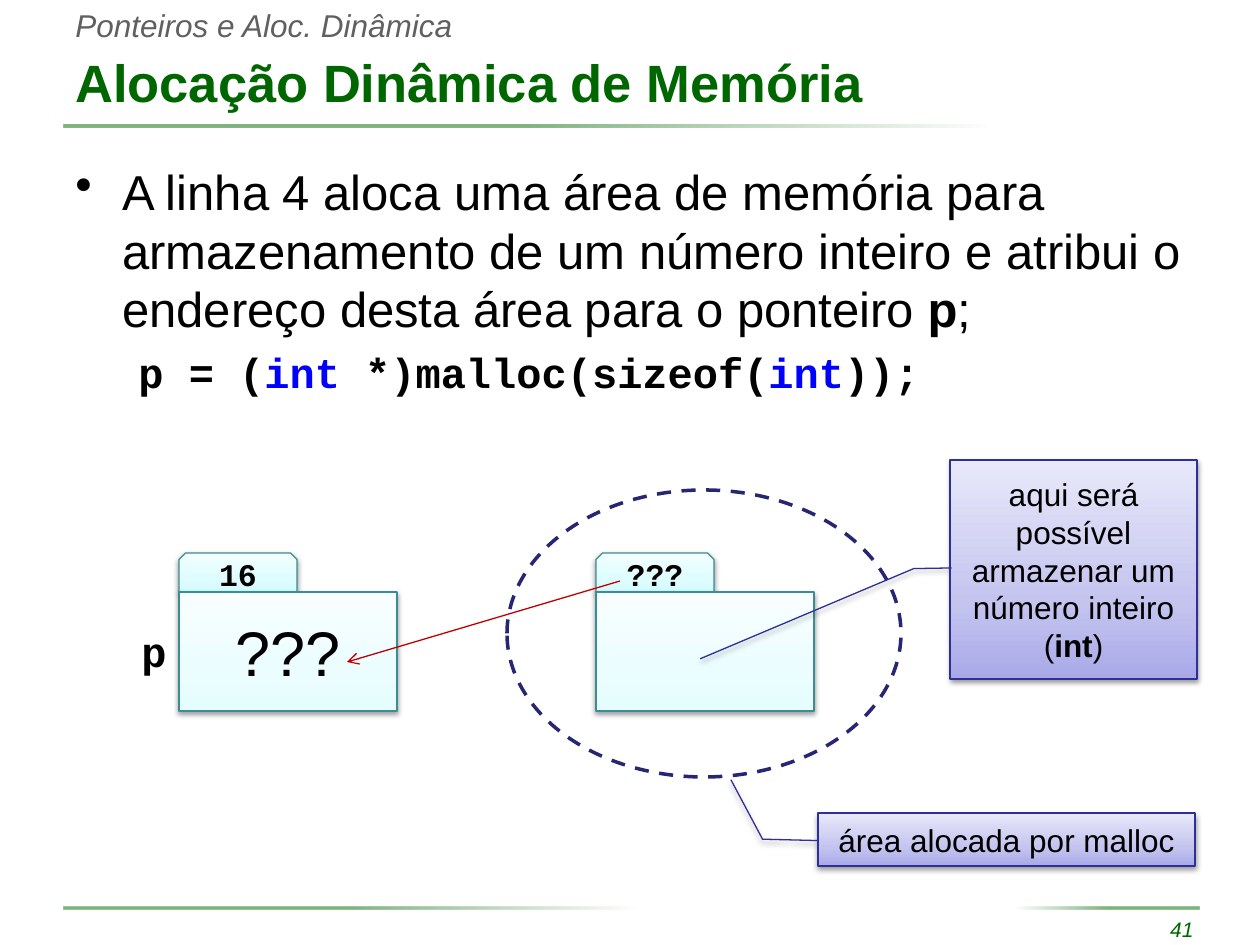
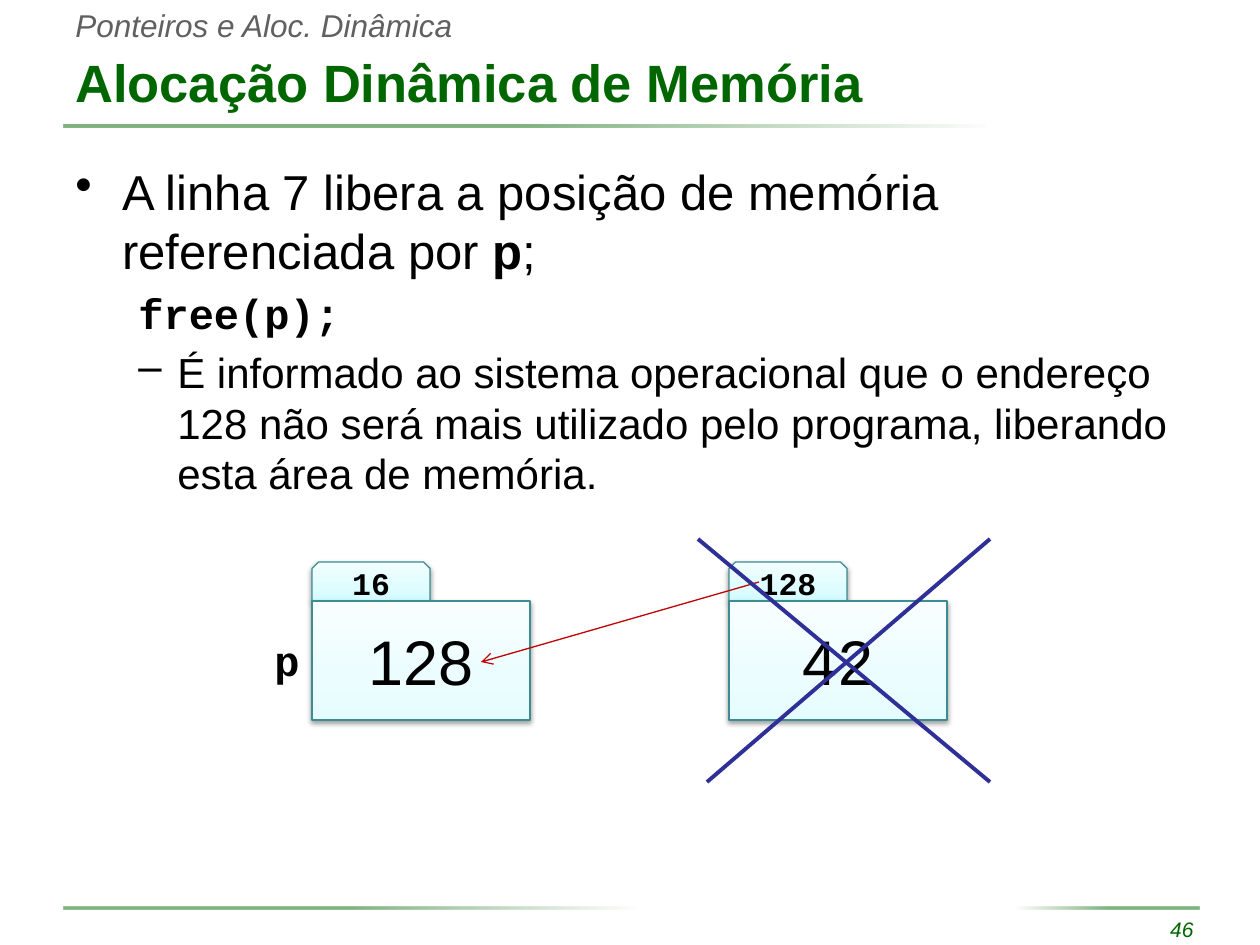
from pptx import Presentation
from pptx.dml.color import RGBColor
from pptx.enum.dml import MSO_LINE
from pptx.enum.shapes import MSO_CONNECTOR, MSO_SHAPE
from pptx.enum.text import MSO_ANCHOR, PP_ALIGN
from pptx.oxml import parse_xml
from pptx.oxml.ns import nsdecls
from pptx.util import Pt

PX = 914400 / 126  # EMU in one px

GREEN = RGBColor(0x00, 0x66, 0x00)
GREY = RGBColor(0x60, 0x60, 0x60)
BLACK = RGBColor(0x00, 0x00, 0x00)
BLUE = RGBColor(0x00, 0x00, 0xFF)
RED = RGBColor(0xC0, 0x00, 0x00)
TEAL = RGBColor(0x3C, 0x8C, 0x93)
NAVY = RGBColor(0x2F, 0x2F, 0x98)
DARK_NAVY = RGBColor(0x26, 0x26, 0x73)

# Gradients: stops as (position, colour), angle, opacity, all in whole units
TAB_FILL = ([(0, "D3FBFF"), (35, "DFFCFF"), (100, "F2FEFF")], 270, 100)
CELL_FILL = ([(0, "E6FDFF"), (35, "ECFDFF"), (100, "F8FEFF")], 270, 100)
CALLOUT_FILL = ([(0, "A9A9E9"), (35, "C4C4EF"), (100, "E8E8FA")], 270, 100)
TITLE_FADE = ([(0, "006600"), (50, "006600"), (100, "FCFCFC")], 0, 50)
LEFT_FADE = ([(0, "006600"), (50, "006600"), (100, "FFFFFF")], 0, 50)
RIGHT_FADE = (LEFT_FADE[0], 180, 50)

# Text styles: size, font, colour, bold, italic
HEADER = (18, "Arial", GREY, False, True)
TITLE = (30, "Arial", GREEN, True, False)
NUMBER = (12, "Arial", GREEN, False, True)
BODY = (28, "Arial", BLACK, False, False)
BODY_BOLD = (28, "Arial", BLACK, True, False)
DETAIL = (24, "Arial", BLACK, False, False)
CODE = (24, "Courier New", BLACK, True, False)
KEYWORD = (24, "Courier New", BLUE, True, False)
ADDRESS = (18, "Courier New", BLACK, True, False)
VALUE = (36, "Arial", BLACK, False, False)
NOTE = (18, "Arial", BLACK, False, False)
NOTE_BOLD = (18, "Arial", BLACK, True, False)

# Paragraph kinds: left margin, first-line indent, space before (pt), bullet
POINT = (47, -47, 0, "•")
CODE_LINE = (63, 0, 5, None)
DASH = (102, -39, 5, "–")
PLAIN = (0, 0, 0, None)

HEADER_TEXT = "Ponteiros e Aloc. Dinâmica"
TITLE_TEXT = "Alocação Dinâmica de Memória"
BARS = [  # box, fade
    ((64, 125, 922, 3), TITLE_FADE),
    ((64, 907, 572, 3), LEFT_FADE),
    ((1016, 907, 183, 3), RIGHT_FADE),
]
TAB_SIZE = (118, 39)
CELL_SIZE = (218, 119)
CELL_GAP = 417  # from the pointer cell to the cell it points to

SLIDES = [
    {
        "number": "41",
        "body_height": 268,
        "body": [
            (POINT, [("A linha 4 aloca uma área de memória para armazenamento de um "
                      "número inteiro e atribui o endereço desta área para o ponteiro ", BODY),
                     ("p", BODY_BOLD), (";", BODY)]),
            (CODE_LINE, [("p = (", CODE), ("int", KEYWORD), (" *)malloc(sizeof(", CODE),
                         ("int", KEYWORD), ("));", CODE)]),
        ],
        "memory_at": (179, 553),
        "memory": [("16", "???"), ("???", "")],
        "arrow": ((620, 581), (347, 662)),
        "area": (507, 490, 394, 287),
        "callouts": [
            ((818, 813, 377, 53), (0.521, -0.003, 0.496, -0.147, -0.628, -0.231),
             [("área alocada por malloc", NOTE)]),
            ((950, 460, 247, 219), (0.493, 0.007, 0.496, -0.147, 0.908, -1.012),
             [("aqui será possível armazenar um número inteiro (", NOTE),
              ("int", NOTE_BOLD), (")", NOTE)]),
        ],
        "cross": [],
    },
    {
        "number": "46",
        "body_height": 358,
        "body": [
            (POINT, [("A linha 7 libera a posição de memória referenciada por ", BODY),
                     ("p", BODY_BOLD), (";", BODY)]),
            (CODE_LINE, [("free(p);", CODE)]),
            (DASH, [("É informado ao sistema operacional que o endereço 128 não será mais "
                     "utilizado pelo programa, liberando esta área de memória.", DETAIL)]),
        ],
        "memory_at": (312, 562),
        "memory": [("16", "128"), ("128", "42")],
        "arrow": ((759, 582), (481, 662)),
        "area": None,
        "callouts": [],
        "cross": [((698, 539), (990, 782)), ((707, 782), (990, 539))],
    },
]


def emu(*lengths):
    return [round(length * PX) for length in lengths]


def write_paragraph(paragraph, runs, kind=PLAIN, align=PP_ALIGN.LEFT):
    margin, indent, space_before, bullet = kind
    paragraph.alignment = align
    properties = paragraph._p.get_or_add_pPr()
    if margin:
        left, first = emu(margin, indent)
        properties.set("marL", str(left))
        properties.set("indent", str(first))
    if bullet:
        properties.append(parse_xml(f'<a:buChar {nsdecls("a")} char="{bullet}"/>'))
    if space_before:
        paragraph.space_before = Pt(space_before)
    for text, (size, font, color, bold, italic) in runs:
        run = paragraph.add_run()
        run.text = text
        run.font.size, run.font.name = Pt(size), font
        run.font.bold, run.font.italic = bold, italic
        run.font.color.rgb = color


def add_text(slide, box, paragraphs, align=PP_ALIGN.LEFT, anchor=MSO_ANCHOR.TOP, wrap=True):
    text_frame = slide.shapes.add_textbox(*emu(*box)).text_frame
    text_frame.word_wrap = wrap
    text_frame.vertical_anchor = anchor
    for index, (kind, runs) in enumerate(paragraphs):
        paragraph = text_frame.add_paragraph() if index else text_frame.paragraphs[0]
        write_paragraph(paragraph, runs, kind, align)


def fill_gradient(shape, gradient):
    stops, angle, opacity = gradient
    stops_xml = "".join(
        f'<a:gs pos="{position * 1000}"><a:srgbClr val="{color}">'
        f'<a:alpha val="{opacity * 1000}"/></a:srgbClr></a:gs>'
        for position, color in stops)
    shape.fill.background()
    properties = shape._element.spPr
    empty_fill = properties.find("{*}noFill")
    properties.replace(empty_fill, parse_xml(
        f'<a:gradFill {nsdecls("a")} rotWithShape="1"><a:gsLst>{stops_xml}</a:gsLst>'
        f'<a:lin ang="{angle * 60000}" scaled="0"/></a:gradFill>'))


def add_shape(slide, preset, box, gradient=None, line=None, width=0.75):
    shape = slide.shapes.add_shape(preset, *emu(*box))
    shape.shadow.inherit = False
    if gradient:
        fill_gradient(shape, gradient)
    else:
        shape.fill.background()
    if line is None:
        shape.line.fill.background()
    else:
        shape.line.color.rgb = line
        shape.line.width = Pt(width)
    return shape


def add_raised_shape(slide, preset, box, gradient, line, runs):
    """Shape with a soft shadow below it and centred text."""
    shape = add_shape(slide, preset, box, gradient, line)
    shape._element.spPr.find("{*}effectLst").append(parse_xml(
        f'<a:outerShdw {nsdecls("a")} blurRad="{Pt(3.1)}" dist="{Pt(1.6)}" dir="5400000" '
        'rotWithShape="0"><a:srgbClr val="000000"><a:alpha val="38000"/></a:srgbClr>'
        '</a:outerShdw>'))
    shape.text_frame.vertical_anchor = MSO_ANCHOR.MIDDLE
    write_paragraph(shape.text_frame.paragraphs[0], runs, align=PP_ALIGN.CENTER)
    return shape


def add_line(slide, start, end, color, width, arrow=False):
    connector = slide.shapes.add_connector(MSO_CONNECTOR.STRAIGHT, *emu(*start, *end))
    connector.line.color.rgb = color
    connector.line.width = Pt(width)
    properties = connector._element.spPr
    if arrow:
        properties.find("{*}ln").append(parse_xml(f'<a:tailEnd {nsdecls("a")} type="arrow"/>'))
    properties.append(parse_xml(f'<a:effectLst {nsdecls("a")}/>'))


def add_frame(slide, number):
    """Parts that every slide shares."""
    add_text(slide, (978, 910, 228, 38), [(PLAIN, [(number, NUMBER)])], PP_ALIGN.RIGHT)
    for box, fade in BARS:
        add_shape(slide, MSO_SHAPE.RECTANGLE, box, fade)
    add_text(slide, (63, 0, 406, 50), [(PLAIN, [(HEADER_TEXT, HEADER)])], wrap=False)
    add_text(slide, (63, 38, 1134, 87), [(PLAIN, [(TITLE_TEXT, TITLE)])],
             anchor=MSO_ANCHOR.MIDDLE)


def add_memory(slide, left, top, cells):
    """Memory cells: a tab with the address over a box with the value."""
    for index, (address, value) in enumerate(cells):
        x = left + index * CELL_GAP
        add_raised_shape(slide, MSO_SHAPE.SNIP_2_SAME_RECTANGLE, (x, top, *TAB_SIZE),
                         TAB_FILL, TEAL, [(address, ADDRESS)])
        add_raised_shape(slide, MSO_SHAPE.RECTANGLE, (x, top + TAB_SIZE[1], *CELL_SIZE),
                         CELL_FILL, TEAL, [(value, VALUE)] if value else [])
    add_text(slide, (left - 51, top + 66, 51, 63), [(PLAIN, [("p", CODE)])],
             PP_ALIGN.RIGHT, wrap=False)


def build_slide(presentation, content):
    slide = presentation.slides.add_slide(presentation.slide_layouts[6])
    add_frame(slide, content["number"])
    add_text(slide, (63, 155, 1134, content["body_height"]), content["body"])
    add_memory(slide, *content["memory_at"], content["memory"])
    add_line(slide, *content["arrow"], RED, 0.75, arrow=True)

    # Allocated area and its callouts
    if content["area"]:
        area = add_shape(slide, MSO_SHAPE.OVAL, content["area"], line=DARK_NAVY, width=2)
        area.line.dash_style = MSO_LINE.DASH
    for box, adjustments, runs in content["callouts"]:
        callout = add_raised_shape(slide, MSO_SHAPE.LINE_CALLOUT_2, box,
                                   CALLOUT_FILL, NAVY, runs)
        for index, adjustment in enumerate(adjustments):
            callout.adjustments[index] = adjustment

    # Cross over the freed cell
    for start, end in content["cross"]:
        add_line(slide, start, end, NAVY, 2.25)


def main():
    presentation = Presentation()
    presentation.slide_width, presentation.slide_height = emu(1260, 945)
    for content in SLIDES:
        build_slide(presentation, content)
    presentation.save("out.pptx")


if __name__ == "__main__":
    main()
